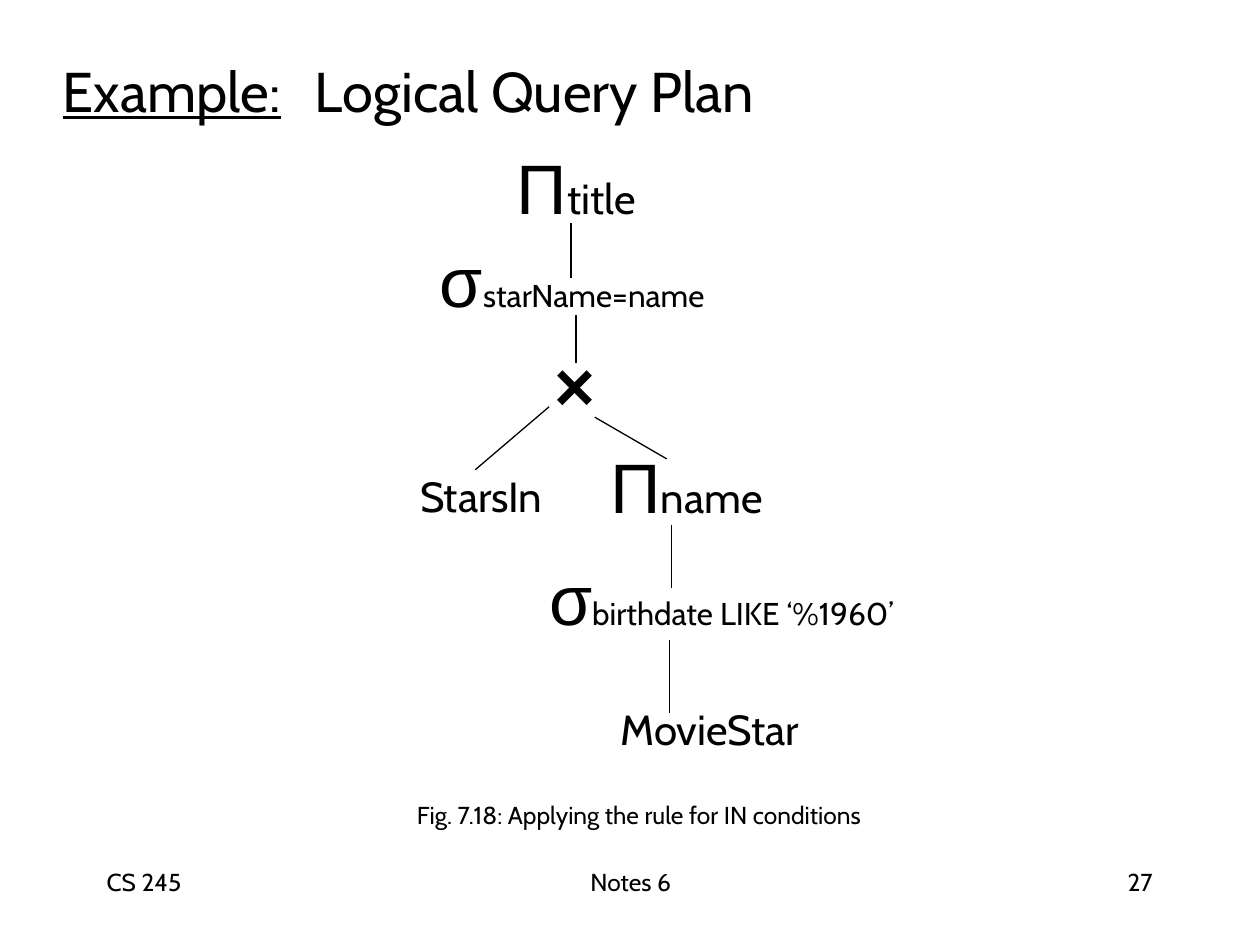
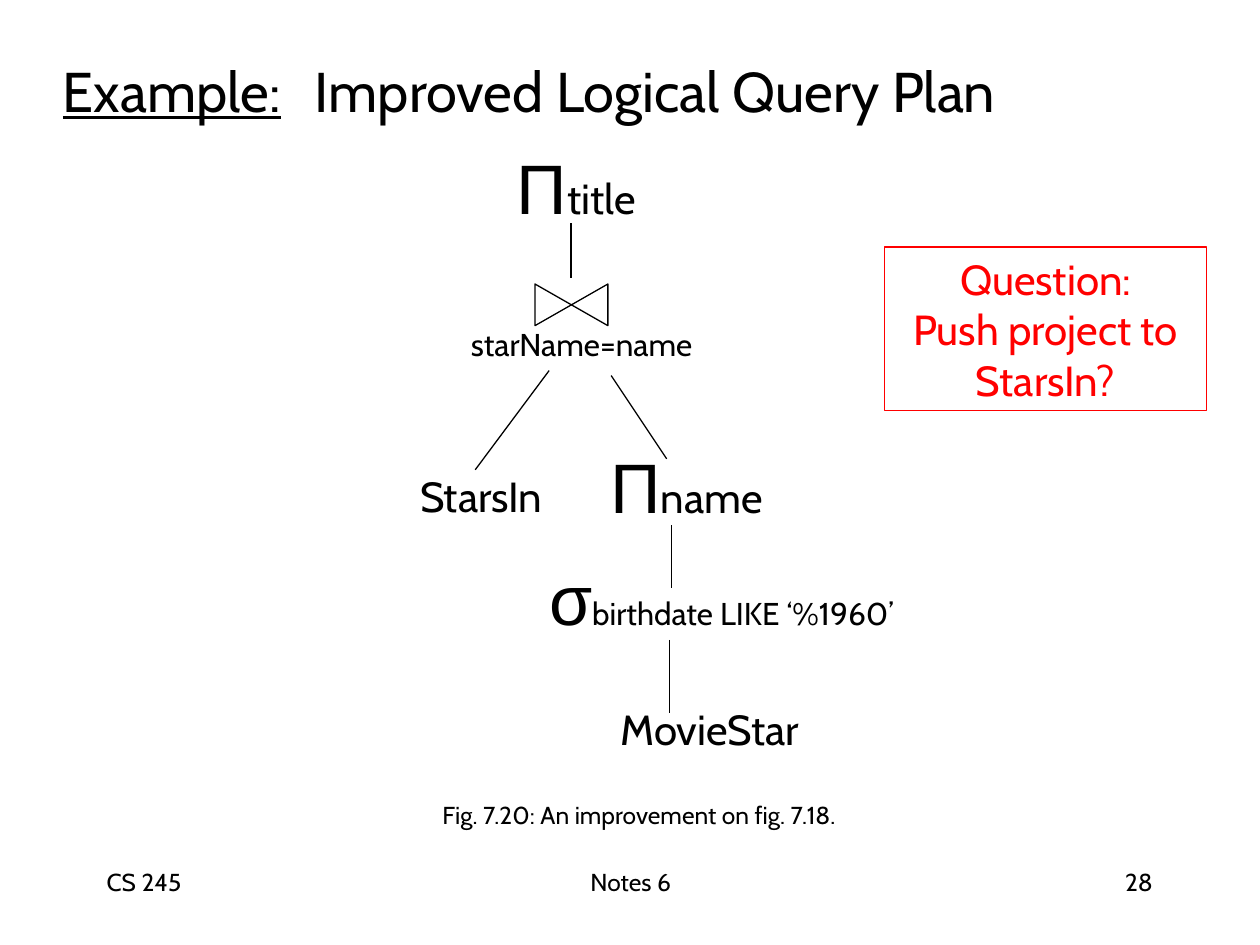
from dataclasses import dataclass

from lxml import etree
from pptx import Presentation
from pptx.dml.color import RGBColor
from pptx.enum import shapes, text
from pptx.oxml import ns
from pptx.util import Cm, Pt

LEFT, CENTER, RIGHT = text.PP_ALIGN.LEFT, text.PP_ALIGN.CENTER, text.PP_ALIGN.RIGHT
TOP, MIDDLE = text.MSO_ANCHOR.TOP, text.MSO_ANCHOR.MIDDLE


@dataclass(frozen=True)
class Theme:
    ink: RGBColor = RGBColor(0, 0, 0)
    paper: RGBColor = RGBColor(255, 255, 255)
    alert: RGBColor = RGBColor(255, 0, 0)
    body: str = "Cabin"
    symbol: str = "Arial"
    title_size: int = 32
    symbol_size: int = 40
    node_size: int = 24
    condition_size: int = 18
    small_size: int = 14
    line_width: float = 0.75


THEME = Theme()


# Text helpers
def style(run, size, color=THEME.ink, font=THEME.body):
    run.font.size = Pt(size)
    run.font.name = font
    run.font.color.rgb = color


def add_text(slide, box, words, size, align=CENTER, anchor=MIDDLE, wrap=False):
    """Place one styled line; box is left, top, width, height in cm."""
    frame = slide.shapes.add_textbox(*map(Cm, box)).text_frame
    frame.word_wrap = wrap
    frame.vertical_anchor = anchor
    line = frame.paragraphs[0]
    line.text = words
    line.alignment = align
    style(line.runs[0], size)
    return line


def add_operator(slide, box, symbol, subscript="", size=THEME.node_size):
    """An algebra symbol followed by its smaller argument."""
    line = add_text(slide, box, symbol, THEME.symbol_size)
    line.runs[0].font.name = THEME.symbol
    if subscript:
        argument = line.add_run()
        argument.text = subscript
        style(argument, size)
    return line


# Line helpers
def outline(line, color=THEME.ink):
    line.color.rgb = color
    line.width = Pt(THEME.line_width)


def add_edge(slide, x1, y1, x2, y2):
    edge = slide.shapes.add_connector(
        shapes.MSO_CONNECTOR.STRAIGHT, Cm(x1), Cm(y1), Cm(x2), Cm(y2))
    outline(edge.line)
    etree.SubElement(edge._element.spPr, ns.qn("a:effectLst"))


# Parts shared by the slides
def add_title(slide, topic):
    line = add_text(slide, (1.02, 0.58, 23.27, 2.46), "Example:",
                    THEME.title_size, LEFT, wrap=True)
    line.runs[0].font.underline = True
    tabs = etree.SubElement(line._p.get_or_add_pPr(), ns.qn("a:tabLst"))
    etree.SubElement(tabs, ns.qn("a:tab"), pos=str(Cm(5.08)), algn="l")
    name = line.add_run()
    name.text = "\t" + topic
    style(name, THEME.title_size)


def add_footer(slide, number):
    for left, width, words, align in (
            (1.9, 5.28, "CS 245", LEFT),
            (8.69, 8.05, "Notes 6", CENTER),
            (18.21, 5.28, str(number), RIGHT)):
        add_text(slide, (left, 17.35, width, 1.27), words,
                 THEME.small_size, align, TOP, wrap=True)


def add_common_plan(slide):
    """The root projection and the two inputs of the join."""
    add_operator(slide, (10.06, 2.77, 3.12, 1.96), "Π", "title")
    add_text(slide, (7.95, 9.35, 3.5, 1.27), "StarsIn", THEME.node_size)
    add_operator(slide, (11.74, 8.81, 4.2, 1.96), "Π", "name")
    add_operator(slide, (10.57, 11.07, 7.95, 1.96), "σ",
                 "birthdate LIKE ‘%1960’", THEME.condition_size)
    add_text(slide, (11.95, 14.05, 4.72, 1.27), "MovieStar", THEME.node_size)
    for x, top, bottom in ((11.51, 4.5, 5.61), (13.54, 10.59, 11.86),
                           (13.49, 12.9, 14.38)):
        add_edge(slide, x, top, x, bottom)


def add_branches(slide, left_start, right_start):
    """Edges from the join down to its two inputs."""
    add_edge(slide, *left_start, 9.58, 9.47)
    add_edge(slide, *right_start, 13.44, 9.25)


def add_plan_slide(deck, number, topic, caption):
    slide = deck.slides.add_slide(deck.slide_layouts[6])
    add_footer(slide, number)
    add_title(slide, topic)
    add_common_plan(slide)
    add_text(slide, (3.73, 16, 18.31, 0.86), caption, THEME.small_size, wrap=True)
    return slide


# Parts of the first plan
def add_product(slide):
    add_operator(slide, (8.36, 4.65, 6.35, 1.96), "σ",
                 "starName=name", THEME.condition_size)
    add_edge(slide, 11.61, 6.35, 11.61, 7.32)
    times = add_operator(slide, (10.77, 6.76, 1.63, 1.96), "×")
    times.runs[0].font.bold = True
    add_branches(slide, (11.07, 8.2), (11.99, 8.41))


# Parts of the improved plan
def add_join(slide):
    add_text(slide, (8.97, 6.43, 5.51, 1.02), "starName=name", THEME.condition_size)
    add_branches(slide, (11.07, 7.47), (12.32, 7.57))
    bowtie = slide.shapes.add_shape(
        shapes.MSO_SHAPE.FLOWCHART_COLLATE, Cm(11.1), Cm(5.41), Cm(0.84), Cm(1.47))
    bowtie.rotation = 270
    bowtie.shadow.inherit = False
    bowtie.fill.solid()
    bowtie.fill.fore_color.rgb = THEME.paper
    outline(bowtie.line)


def add_question(slide, lines):
    question = slide.shapes.add_shape(
        shapes.MSO_SHAPE.RECTANGLE, Cm(17.83), Cm(4.98), Cm(6.5), Cm(3.3))
    question.shadow.inherit = False
    question.fill.background()
    outline(question.line, THEME.alert)
    frame = question.text_frame
    frame.word_wrap = False
    frame.vertical_anchor = MIDDLE
    frame.text = "\n".join(lines)
    for line in frame.paragraphs:
        line.alignment = CENTER
        style(line.runs[0], THEME.node_size, THEME.alert)


def main():
    deck = Presentation()
    deck.slide_width, deck.slide_height = Cm(25.4), Cm(19.05)

    first = add_plan_slide(deck, 27, "Logical Query Plan",
                           "Fig. 7.18: Applying the rule for IN conditions")
    add_product(first)

    improved = add_plan_slide(deck, 28, "Improved Logical Query Plan",
                              "Fig. 7.20: An improvement on fig. 7.18.")
    add_join(improved)
    add_question(improved, ("Question:", "Push project to", "StarsIn?"))

    deck.save("out.pptx")


if __name__ == "__main__":
    main()
